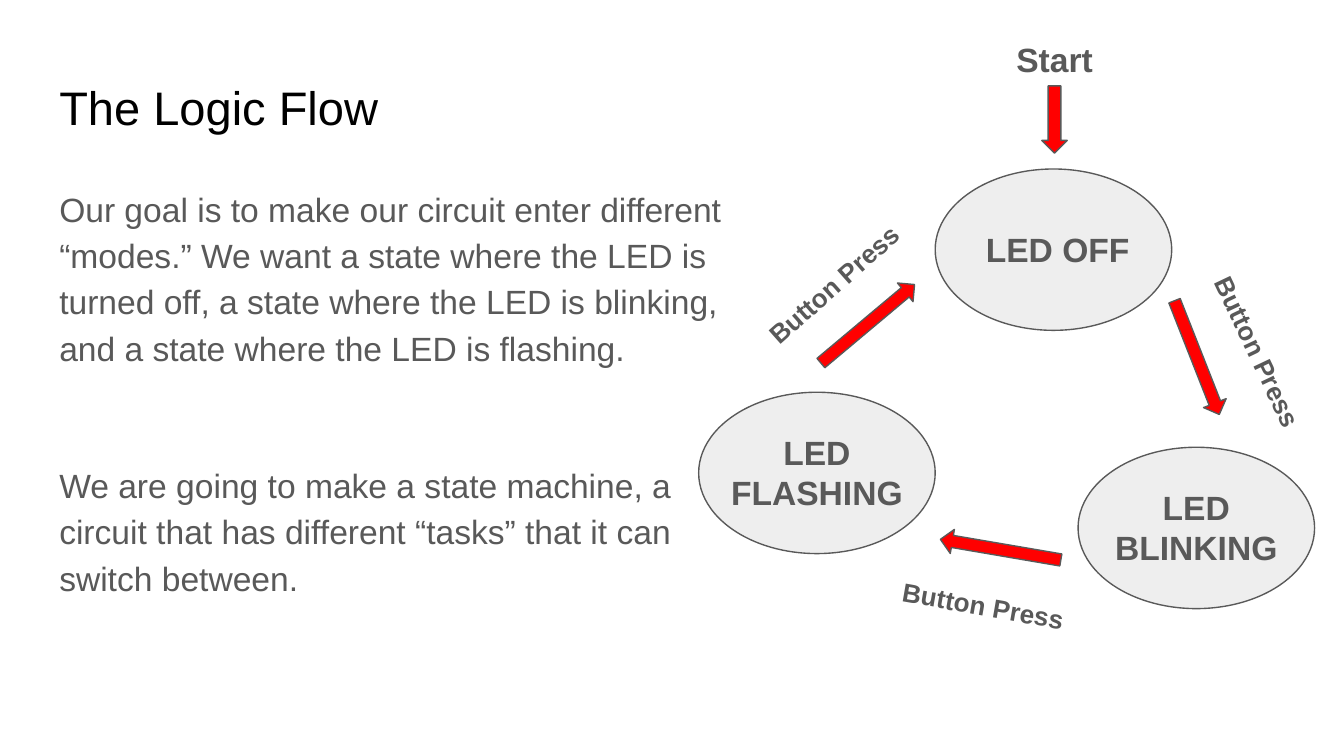
from lxml.etree import SubElement
from pptx import Presentation
from pptx.dml.color import RGBColor
from pptx.enum.shapes import MSO_SHAPE
from pptx.enum.text import MSO_ANCHOR, MSO_AUTO_SIZE, PP_ALIGN
from pptx.oxml.ns import qn
from pptx.util import Cm, Pt

COLOURS = {"title": "000000", "text": "595959", "state": "EEEEEE", "arrow": "FF0000"}


def write(paragraph, text, size=18, colour="text", bold=False,
          align=PP_ALIGN.LEFT, spacing=None, before=0):
    """Put formatted, unbulleted text into a paragraph."""
    properties = paragraph._p.get_or_add_pPr()
    properties.set("marL", "0")
    properties.set("indent", "0")
    SubElement(properties, qn("a:buNone"))
    paragraph.alignment = align
    paragraph.space_before = Pt(before)
    if spacing:
        paragraph.line_spacing = spacing
    run = paragraph.add_run()
    run.text = text
    run.font.name = "Arial"
    run.font.size = Pt(size)
    run.font.bold = bold
    run.font.color.rgb = RGBColor.from_string(COLOURS[colour])


def centred_box(x, y, width, height):
    return Cm(x - width / 2), Cm(y - height / 2), Cm(width), Cm(height)


class FlowSlide:
    """Holds the style and the current slide; shapes are placed by centre, in cm."""
    inset = Cm(0.25)
    state_size = (4.47, 3.05)
    label_width = 5.16
    arrow_size = (2.31, 0.46)

    def __init__(self, deck):
        self.slide = deck.slides.add_slide(deck.slide_layouts[1])

    def set_frame(self, frame, auto_size):
        frame.word_wrap = True
        frame.auto_size = auto_size
        frame.vertical_anchor = MSO_ANCHOR.TOP
        frame.margin_left = frame.margin_right = self.inset
        frame.margin_top = frame.margin_bottom = self.inset

    def placeholder(self, index, left, top, width, height):
        holder = self.slide.placeholders[index]
        holder.left, holder.top = Cm(left), Cm(top)
        holder.width, holder.height = Cm(width), Cm(height)
        self.set_frame(holder.text_frame, MSO_AUTO_SIZE.NONE)
        return holder.text_frame

    def shape(self, kind, x, y, size, fill, angle=0):
        outline = self.slide.shapes.add_shape(kind, *centred_box(x, y, *size))
        outline.rotation = angle
        outline.shadow.inherit = False
        outline.fill.solid()
        outline.fill.fore_color.rgb = RGBColor.from_string(COLOURS[fill])
        outline.line.color.rgb = RGBColor.from_string(COLOURS["text"])
        outline.line.width = Pt(0.75)

    def state(self, x, y):
        self.shape(MSO_SHAPE.OVAL, x, y, self.state_size, "state")

    def arrow(self, x, y, angle):
        self.shape(MSO_SHAPE.RIGHT_ARROW, x, y, self.arrow_size, "arrow", angle)

    def label(self, text, x, y, width=label_width, height=1.27, size=18, angle=0):
        box = self.slide.shapes.add_textbox(*centred_box(x, y, width, height))
        box.rotation = angle
        self.set_frame(box.text_frame, MSO_AUTO_SIZE.SHAPE_TO_FIT_TEXT)
        write(box.text_frame.paragraphs[0], text, size=size, bold=True,
              align=PP_ALIGN.CENTER)


def main():
    deck = Presentation()
    deck.slide_width, deck.slide_height = Cm(25.4), Cm(14.29)
    flow = FlowSlide(deck)

    # Title and explanation
    title = flow.placeholder(0, 0.87, 1.24, 23.67, 1.6)
    write(title.paragraphs[0], "The Logic Flow", size=25.2, colour="title")
    explanation = flow.placeholder(1, 0.87, 3.2, 13.67, 9.5)
    write(explanation.paragraphs[0],
          "Our goal is to make our circuit enter different “modes.” We want a state "
          "where the LED is turned off, a state where the LED is blinking, and a "
          "state where the LED is flashing.", spacing=1.15)
    write(explanation.add_paragraph(),
          "We are going to make a state machine, a circuit that has different "
          "“tasks” that it can switch between.", spacing=1.15, before=48.8)

    # States: name, centre, label shift to the right, label width and height
    states = [
        ("LED OFF", 19.91, 4.72, 0.08, 3.45, 1.27),
        ("LED BLINKING", 22.61, 9.98, 0, 3.96, 2.06),
        ("LED FLASHING", 15.44, 8.94, 0, 3.96, 2.06),
    ]
    for _, x, y, *_ in states:
        flow.state(x, y)
    for name, x, y, shift, width, height in states:
        flow.label(name, x + shift, y, width, height)

    # Start
    flow.label("Start", 19.93, 1.12)
    flow.shape(MSO_SHAPE.DOWN_ARROW, 19.93, 2.26, (0.48, 1.27), "arrow")

    # Transitions: label centre and angle, arrow centre and angle
    transitions = [
        ((23.76, 6.65, 64.6), (22.62, 6.76, 68.5)),
        ((18.58, 11.46, 10), (18.91, 10.39, 189.7)),
        ((15.76, 5.38, 318.5), (16.4, 6.12, 320)),
    ]
    for (x, y, angle), arrow in transitions:
        flow.label("Button Press", x, y, height=1.12, size=14, angle=angle)
        flow.arrow(*arrow)

    deck.save("out.pptx")


if __name__ == "__main__":
    main()
